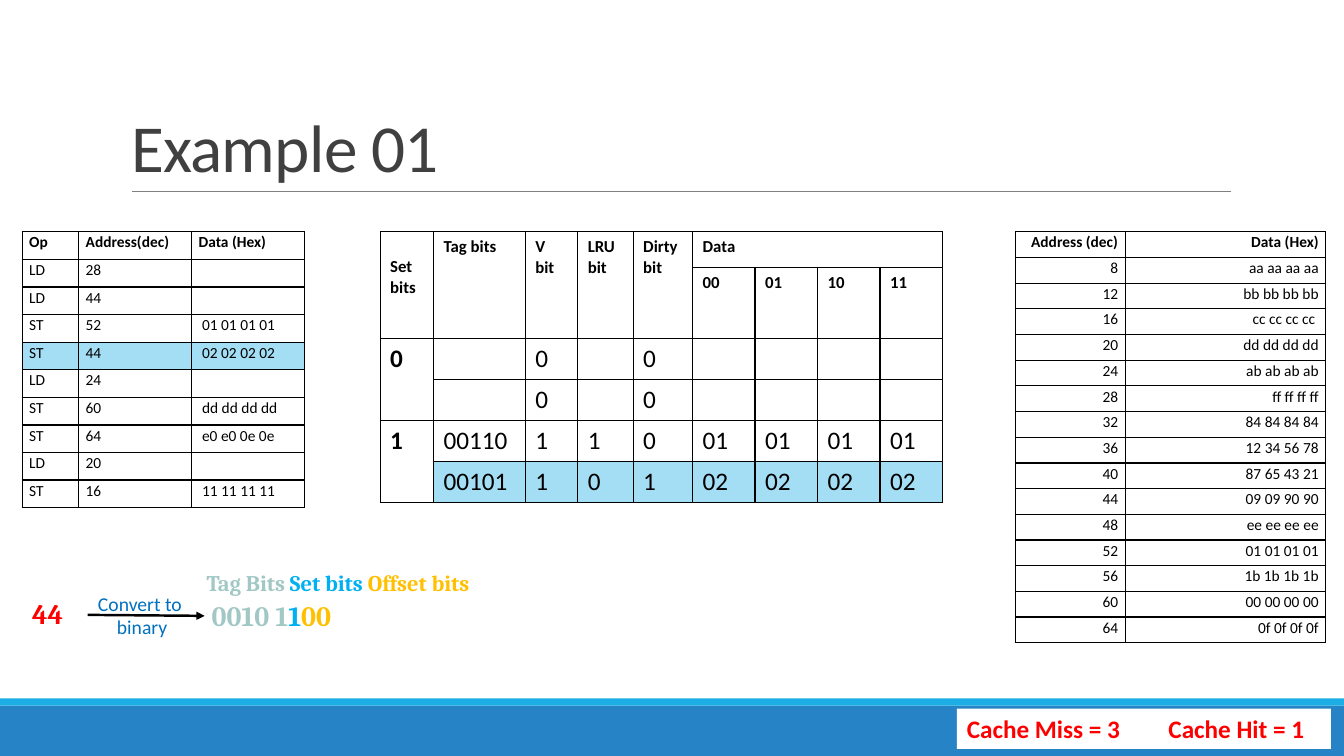
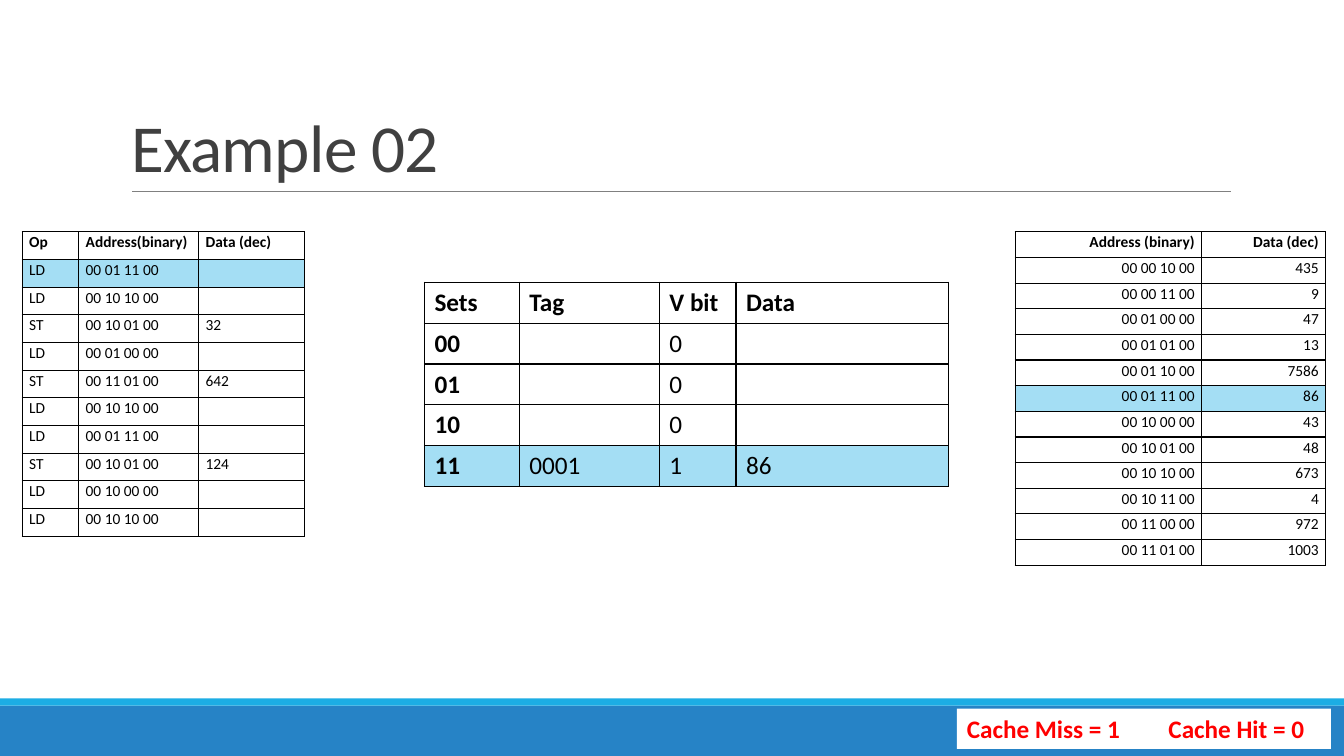
from lxml import etree
from pptx import Presentation
from pptx.dml.color import RGBColor
from pptx.enum.shapes import MSO_CONNECTOR, MSO_SHAPE
from pptx.enum.text import MSO_ANCHOR, MSO_AUTO_SIZE, PP_ALIGN
from pptx.oxml.ns import qn
from pptx.util import Inches, Pt

BLACK = RGBColor(0x00, 0x00, 0x00)
WHITE = RGBColor(0xFF, 0xFF, 0xFF)
TITLE_GRAY = RGBColor(0x40, 0x40, 0x40)
RULE_GRAY = RGBColor(0x80, 0x80, 0x80)
BAND_BLUE = RGBColor(0x26, 0x83, 0xC6)
STRIPE_BLUE = RGBColor(0x1C, 0xAD, 0xE4)
HIGHLIGHT = RGBColor(0xA4, 0xDE, 0xF4)
RED = RGBColor(0xFF, 0x00, 0x00)
LABEL_BLUE = RGBColor(0x00, 0x70, 0xC0)
TAG_COLOR = RGBColor(0xA1, 0xC8, 0xC5)
SET_COLOR = RGBColor(0x00, 0xB0, 0xF0)
OFFSET_COLOR = RGBColor(0xFF, 0xC0, 0x00)

RECTANGLE = MSO_SHAPE.RECTANGLE
STRAIGHT = MSO_CONNECTOR.STRAIGHT
TOP, BOTTOM = MSO_ANCHOR.TOP, MSO_ANCHOR.BOTTOM
NO_AUTOFIT = MSO_AUTO_SIZE.NONE
LEFT, CENTER, RIGHT = PP_ALIGN.LEFT, PP_ALIGN.CENTER, PP_ALIGN.RIGHT

SANS, SERIF = "Calibri", "Cambria"
TITLE_ONLY = 5
SIDE_TOP = 2.3  # top of the operation and memory tables


class Deck:
    """Holds the shared style and the current page."""

    def __init__(self):
        self.deck = Presentation()
        self.deck.slide_width = Inches(13.33)
        self.deck.slide_height = Inches(7.5)
        self.page = None

    def new_page(self, title, misses, hits):
        self.page = self.deck.slides.add_slide(self.deck.slide_layouts[TITLE_ONLY])
        # Bands and title rule
        self.box(0, 7, 13.33, 0.5, BAND_BLUE)
        self.box(0, 6.93, 13.33, 0.07, STRIPE_BLUE)
        self.line(1.31, 1.9, 12.21, 1.9, RULE_GRAY, 0.5)
        # Title
        holder = self.page.shapes.title
        holder.left, holder.top = Inches(1.2), Inches(0.31)
        holder.width, holder.height = Inches(11), Inches(1.59)
        frame = holder.text_frame
        frame.text = title
        frame.auto_size = NO_AUTOFIT
        frame.vertical_anchor = BOTTOM
        para = frame.paragraphs[0]
        para.alignment = LEFT
        para.line_spacing = 0.85
        self.style(para.font, 48, TITLE_GRAY)
        para.runs[0].font._element.set("spc", "-50")
        # Score
        score = self.box(9.49, 7.03, 3.71, 0.4, WHITE)
        self.fill_text(score, [[(f"Cache Miss = {misses}\tCache Hit = {hits}", RED)]], 18,
                       bold=True)

    @staticmethod
    def style(font, size, color=None, bold=False, name=SANS):
        font.name, font.size, font.bold = name, Pt(size), bold
        if color is not None:
            font.color.rgb = color

    def fill_text(self, shape, lines, size, name=SANS, bold=False, align=LEFT):
        """Each line is a list of (text, color) spans."""
        frame = shape.text_frame
        frame.word_wrap = True
        frame.vertical_anchor = TOP
        for index, spans in enumerate(lines):
            para = frame.add_paragraph() if index else frame.paragraphs[0]
            para.alignment = align
            self.style(para.font, size, bold=bold, name=name)
            for text, color in spans:
                span = para.add_run()
                span.text = text
                span.font.color.rgb = color

    def box(self, left, top, width, height, fill):
        box = self.page.shapes.add_shape(
            RECTANGLE, Inches(left), Inches(top), Inches(width), Inches(height))
        box.shadow.inherit = False
        box.fill.solid()
        box.fill.fore_color.rgb = fill
        box.line.fill.background()
        return box

    def text(self, left, top, width, height, spans, size):
        box = self.page.shapes.add_textbox(
            Inches(left), Inches(top), Inches(width), Inches(height))
        self.fill_text(box, [spans], size, SERIF, bold=True)

    def line(self, x1, y1, x2, y2, color, width, arrow=False):
        line = self.page.shapes.add_connector(
            STRAIGHT, Inches(x1), Inches(y1), Inches(x2), Inches(y2))
        line.line.color.rgb = color
        line.line.width = Pt(width)
        properties = line._element.spPr
        if arrow:
            etree.SubElement(properties.find(qn("a:ln")), qn("a:tailEnd"), type="triangle")
        etree.SubElement(properties, qn("a:effectLst"))

    @staticmethod
    def border(cell):
        properties = cell._tc.get_or_add_tcPr()
        for index, side in enumerate(("lnL", "lnR", "lnT", "lnB")):
            edge = etree.Element(qn(f"a:{side}"), w=str(Pt(1)))
            fill = etree.SubElement(edge, qn("a:solidFill"))
            etree.SubElement(fill, qn("a:srgbClr"), val=str(BLACK))
            properties.insert(index, edge)

    def table(self, left, top, widths, heights, rows, lit=(), merges=(), header_rows=1,
              header_size=18, body_size=18, bold_first=True, compact=False, align=LEFT):
        table = self.page.shapes.add_table(
            len(rows), len(widths), Inches(left), Inches(top),
            Inches(sum(widths)), Inches(sum(heights))).table
        table.first_row = table.horz_banding = False
        for column, width in zip(table.columns, widths):
            column.width = Inches(width)
        for row, height in zip(table.rows, heights):
            row.height = Inches(height)
        for r, values in enumerate(rows):
            header = r < header_rows
            for c, value in enumerate(values):
                cell = table.cell(r, c)
                cell.text = value
                cell.fill.solid()
                cell.fill.fore_color.rgb = HIGHLIGHT if r in lit else WHITE
                self.border(cell)
                para = cell.text_frame.paragraphs[0]
                para.alignment = align
                self.style(para.font, header_size if header else body_size, BLACK,
                           header or (bold_first and c == 0))
                if compact:
                    cell.margin_left = cell.margin_right = Inches(0.07)
                    cell.margin_top = cell.margin_bottom = 0
                    para.line_spacing = 1.07
        for r1, c1, r2, c2 in merges:
            table.cell(r1, c1).merge(table.cell(r2, c2))
        return table

    def side_table(self, left, widths, height, rows, lit=(), align=LEFT):
        heights = [height / len(rows)] * len(rows)
        self.table(left, SIDE_TOP, widths, heights, rows, lit, header_size=11, body_size=11,
                   bold_first=False, compact=True, align=align)

    def operations(self, widths, height, rows, lit):
        self.side_table(0.22, widths, height, rows, lit)

    def memory(self, widths, height, rows, lit=()):
        self.side_table(10.07, widths, height, rows, lit, RIGHT)


def example_01(deck):
    deck.new_page("Example 01", 3, 1)
    deck.memory([1.09, 1.99], 4.08, [
        ("Address (dec)", "Data (Hex)"),
        ("8", "aa aa aa aa"), ("12", "bb bb bb bb"), ("16", "cc cc cc cc "),
        ("20", "dd dd dd dd"), ("24", "ab ab ab ab"), ("28", "ff ff ff ff"),
        ("32", "84 84 84 84"), ("36", "12 34 56 78"), ("40", "87 65 43 21"),
        ("44", "09 09 90 90"), ("48", "ee ee ee ee"), ("52", "01 01 01 01"),
        ("56", "1b 1b 1b 1b"), ("60", "00 00 00 00"), ("64", "0f 0f 0f 0f"),
    ])

    # Two-way cache: the first five headings and the set numbers span two rows
    merges = [(0, c, 1, c) for c in range(5)]
    merges += [(0, 5, 0, 8), (2, 0, 3, 0), (4, 0, 5, 0)]
    cache = deck.table(
        3.77, SIDE_TOP, [0.53, 0.91, 0.52, 0.55, 0.59] + [0.62] * 4, [0.35, 0.71] + [0.4] * 4,
        [
            ("Set bits", "Tag bits", "V bit", "LRU bit", "Dirty bit", "Data", "", "", ""),
            ("", "", "", "", "", "00", "01", "10", "11"),
            ("0", "", "0", "", "0", "", "", "", ""),
            ("", "", "0", "", "0", "", "", "", ""),
            ("1", "00110", "1", "1", "0", "01", "01", "01", "01"),
            ("", "00101", "1", "0", "1", "02", "02", "02", "02"),
        ], lit=[5], merges=merges, header_rows=2, header_size=12)
    cache.cell(0, 0).margin_top = Inches(0.25)

    # Address conversion
    label = deck.box(0.87, 5.82, 1.08, 0.57, WHITE)
    deck.fill_text(label, [[("Convert to ", LABEL_BLUE)], [("binary", LABEL_BLUE)]], 14,
                   align=CENTER)
    deck.text(0.22, 5.87, 0.98, 0.44, [("44", RED)], 20)
    deck.line(0.87, 6.1, 2.03, 6.11, BLACK, 1.75, arrow=True)
    deck.text(2, 5.89, 2.15, 0.44,
              [("0010 1", TAG_COLOR), ("1", SET_COLOR), ("00", OFFSET_COLOR)], 20)
    legend = deck.box(1.95, 5.6, 2.82, 0.37, WHITE)
    deck.fill_text(legend, [[("Tag Bits ", TAG_COLOR), ("Set bits ", SET_COLOR),
                             ("Offset bits", OFFSET_COLOR)]], 16, SERIF, bold=True)

    deck.operations([0.56, 1.12, 1.12], 2.74, [
        ("Op", "Address(dec)", "Data (Hex)"),
        ("LD", "28", ""), ("LD", "44", ""), ("ST", "52", " 01 01 01 01"),
        ("ST", "44", " 02 02 02 02"), ("LD", "24", ""), ("ST", "60", " dd dd dd dd"),
        ("ST", "64", " e0 e0 0e 0e"), ("LD", "20", ""), ("ST", "16", " 11 11 11 11"),
    ], lit=[4])


def example_02(deck):
    deck.new_page("Example 02", 1, 0)
    deck.operations([0.56, 1.19, 1.05], 3.02, [
        ("Op", "Address(binary)", "Data (dec)"),
        ("LD", "00 01 11 00", ""), ("LD", "00 10 10 00", ""), ("ST", "00 10 01 00", "32"),
        ("LD", "00 01 00 00", ""), ("ST", "00 11 01 00", "642"), ("LD", "00 10 10 00", ""),
        ("LD", "00 01 11 00", ""), ("ST", "00 10 01 00", "124"), ("LD", "00 10 00 00", ""),
        ("LD", "00 10 10 00", ""),
    ], lit=[1])
    deck.memory([1.85, 1.23], 3.31, [
        ("Address (binary)", "Data (dec)"),
        ("00 00 10 00", "435"), ("00 00 11 00", "9"), ("00 01 00 00", "47"),
        ("00 01 01 00", "13"), ("00 01 10 00", "7586"), ("00 01 11 00", "86"),
        ("00 10 00 00", "43"), ("00 10 01 00", "48"), ("00 10 10 00", "673"),
        ("00 10 11 00", "4"), ("00 11 00 00", "972"), ("00 11 01 00", "1003"),
    ], lit=[6])

    # Direct-mapped cache
    deck.table(4.21, 2.8, [0.94, 1.39, 0.76, 2.11], [0.4] * 5, [
        ("Sets", "Tag", "V bit", "Data"),
        ("00", "", "0", ""), ("01", "", "0", ""), ("10", "", "0", ""),
        ("11", "0001", "1", "86"),
    ], lit=[4])


def main():
    deck = Deck()
    example_01(deck)
    example_02(deck)
    deck.deck.save("out.pptx")


if __name__ == "__main__":
    main()
